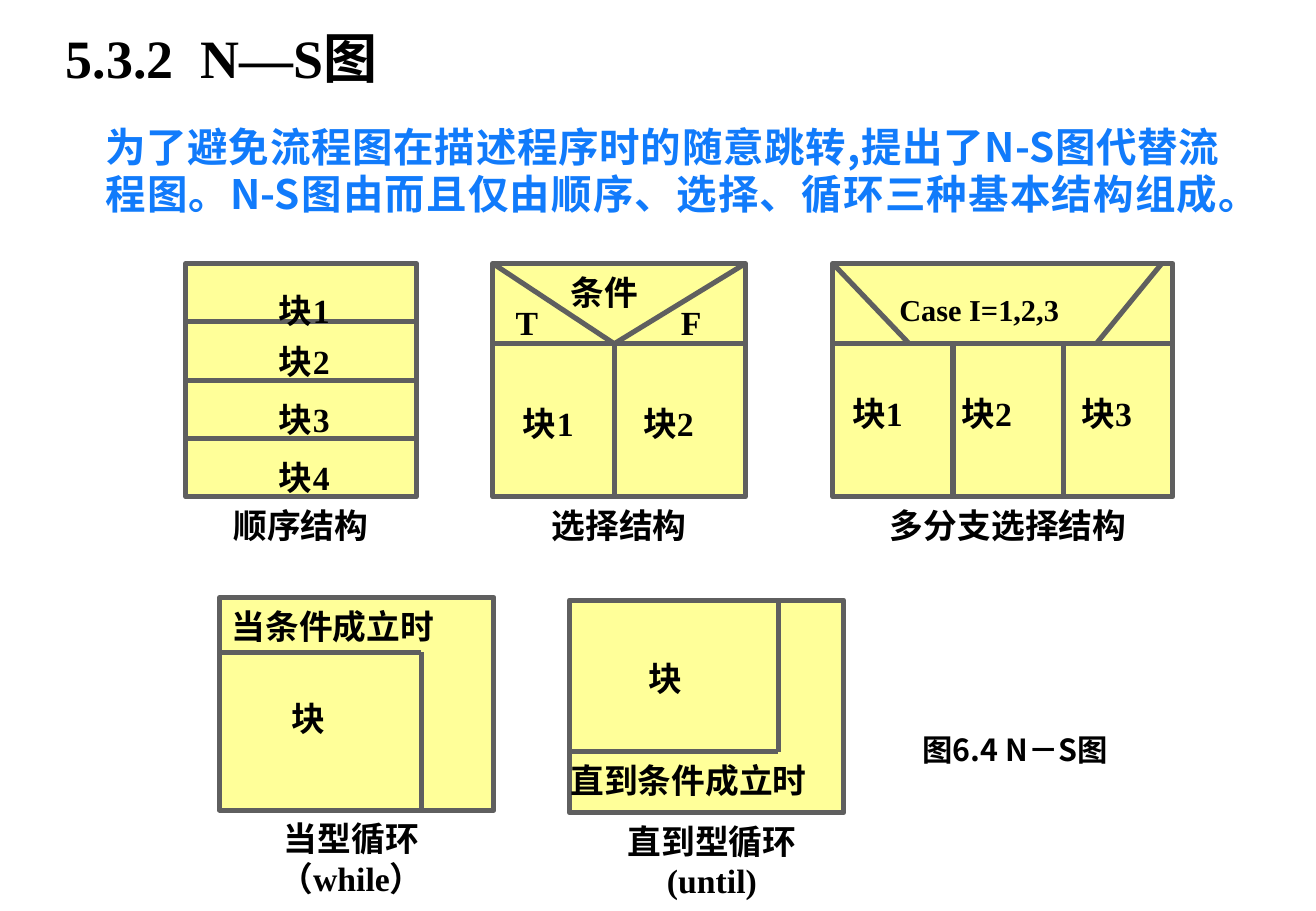
from pptx import Presentation
from pptx.dml.color import RGBColor
from pptx.enum.shapes import MSO_CONNECTOR, MSO_SHAPE
from pptx.enum.text import MSO_ANCHOR, MSO_AUTO_SIZE, PP_ALIGN
from pptx.oxml.ns import qn
from pptx.util import Inches, Pt
from lxml.etree import SubElement

COLORS = {"text": "000000", "intro": "117BFB", "fill": "FFFF99", "line": "5F5F5F"}
SERIF, SANS = "Times New Roman", "Noto Sans CJK SC"
TITLE = "5.3.2  N—S图"
INTRO = ("为了避免流程图在描述程序时的随意跳转,提出了N-S图代替流程图。"
         "N-S图由而且仅由顺序、选择、循环三种基本结构组成。")
FIGURE_CAPTION = "图6.4 N－S图"

# Panels: box is left, top, width, height; lines and labels are relative to it.
# Label: text, x, y, width, size. Caption: text, x, width.
HEAD, TALL = 0.66, 1.92
PANELS = [
    {"box": (1.53, 2.17, 1.9, TALL), "rows": 4, "lines": [],
     "labels": [("块1", 0.67, 0.15, 0.9, 20), ("块2", 0.67, 0.57, 0.9, 20),
                ("块3", 0.67, 1.05, 0.9, 20), ("块4", 0.67, 1.53, 0.9, 20)],
     "caption": ("顺序结构", 0, 1.9)},
    {"box": (4.06, 2.17, 2.08, TALL), "rows": 1,
     "lines": [(0, HEAD, 2.08, HEAD), (1, HEAD, 0, 0),
               (1, HEAD, 2.08, 0), (1, HEAD, 1, TALL)],
     "labels": [("条件", 0.54, 0, 0.99, 20), ("T", 0.09, 0.25, 0.5, 20),
                ("F", 1.45, 0.25, 0.5, 20),
                ("块1", 0.15, 1.08, 0.9, 20), ("块2", 1.14, 1.08, 0.9, 20)],
     "caption": ("选择结构", 0, 2.08)},
    {"box": (6.86, 2.17, 2.8, TALL), "rows": 1,
     "lines": [(0, HEAD, 2.8, HEAD), (0.63, HEAD, 0, 0), (2.17, HEAD, 2.71, 0),
               (0.99, HEAD, 0.99, TALL), (1.9, HEAD, 1.9, TALL)],
     "labels": [("Case I=1,2,3", 0.45, 0.16, 2.17, 18), ("块1", 0.06, 1, 0.9, 20),
                ("块2", 0.96, 1, 0.9, 20), ("块3", 1.95, 1, 0.9, 20)],
     "caption": ("多分支选择结构", 0.18, 2.53)},
    {"box": (1.81, 4.92, 2.26, 1.75), "rows": 1,
     "lines": [(0, 0.45, 1.66, 0.45), (1.66, 0.45, 1.66, 1.75)],
     "labels": [("块", 0.49, 0.76, 0.78, 20), ("当条件成立时", 0, 0, 2.26, 20)],
     "caption": ("当型循环\n（while）", -0.09, 2.35)},
    {"box": (4.69, 4.94, 2.26, 1.75), "rows": 1,
     "lines": [(0, 1.25, 1.72, 1.25), (1.72, 0, 1.72, 1.25)],
     "labels": [("块", 0.55, 0.41, 0.72, 20), ("直到条件成立时", -0.09, 1.25, 2.44, 20)],
     "caption": ("直到型循环\n(until)", 0, 2.35)},
]


def color(name):
    return RGBColor.from_string(COLORS[name])


def add_run(paragraph, text, size, font=SERIF, tint="text"):
    run = paragraph.add_run()
    run.text = text
    run.font.size, run.font.bold, run.font.name = Pt(size), True, font
    run.font.color.rgb = color(tint)
    SubElement(run.font._element, qn("a:ea")).set("typeface", SANS)


def add_text(shapes, text, left, top, width, size, height=0.44,
             align=PP_ALIGN.LEFT, font=SERIF, tint="text"):
    box = shapes.add_textbox(Inches(left), Inches(top), Inches(width), Inches(height))
    box.text_frame.word_wrap = True
    paragraph = box.text_frame.paragraphs[0]
    paragraph.alignment = align
    paragraph.line_spacing = Pt(round(size * 1.18, 1))
    for index, part in enumerate(text.split("\n")):
        if index:
            paragraph.add_line_break()
        add_run(paragraph, part, size, font, tint)


def add_block(shapes, left, top, width, height):
    shape = shapes.add_shape(MSO_SHAPE.RECTANGLE, Inches(left), Inches(top),
                             Inches(width), Inches(height))
    shape.shadow.inherit = False
    shape.fill.solid()
    shape.fill.fore_color.rgb = color("fill")
    shape.line.color.rgb = color("line")
    shape.line.width = Pt(3)


def add_line(shapes, x1, y1, x2, y2):
    line = shapes.add_connector(MSO_CONNECTOR.STRAIGHT, Inches(x1), Inches(y1),
                                Inches(x2), Inches(y2))
    line.line.color.rgb = color("line")
    line.line.width = Pt(3)
    SubElement(line._element.spPr, qn("a:effectLst"))


def add_panel(slide, panel):
    shapes = slide.shapes.add_group_shape().shapes
    left, top, width, height = panel["box"]
    row_height = height / panel["rows"]
    for row in range(panel["rows"]):
        add_block(shapes, left, top + row * row_height, width, row_height)
    for x1, y1, x2, y2 in panel["lines"]:
        add_line(shapes, left + x1, top + y1, left + x2, top + y2)
    for text, x, y, label_width, size in panel["labels"]:
        add_text(shapes, text, left + x, top + y + 0.02, label_width, size)
    text, x, caption_width = panel["caption"]
    add_text(shapes, text, left + x, top + height + 0.02, caption_width, 20,
             height=0.44 + 0.33 * text.count("\n"), align=PP_ALIGN.CENTER)


def main():
    presentation = Presentation()
    presentation.slide_width, presentation.slide_height = Inches(10.84), Inches(7.5)
    slide = presentation.slides.add_slide(presentation.slide_layouts[5])

    # Title
    title = slide.shapes.title
    title.left, title.top = Inches(0.44), Inches(0.28)
    title.width, title.height = Inches(3.77), Inches(0.38)
    title.text_frame.auto_size = MSO_AUTO_SIZE.NONE
    title.text_frame.vertical_anchor = MSO_ANCHOR.MIDDLE
    paragraph = title.text_frame.paragraphs[0]
    paragraph.alignment = PP_ALIGN.JUSTIFY
    add_run(paragraph, TITLE, 32)

    # Introduction
    add_text(slide.shapes, INTRO, 0.77, 0.96, 9.37, 24, height=1.3,
             align=PP_ALIGN.JUSTIFY, font=SANS, tint="intro")

    # Structure diagrams
    for panel in PANELS:
        add_panel(slide, panel)

    # Figure caption
    add_text(slide.shapes, FIGURE_CAPTION, 7.5, 5.98, 2.62, 18, height=0.4, font=SANS)
    presentation.save("out.pptx")


if __name__ == "__main__":
    main()
